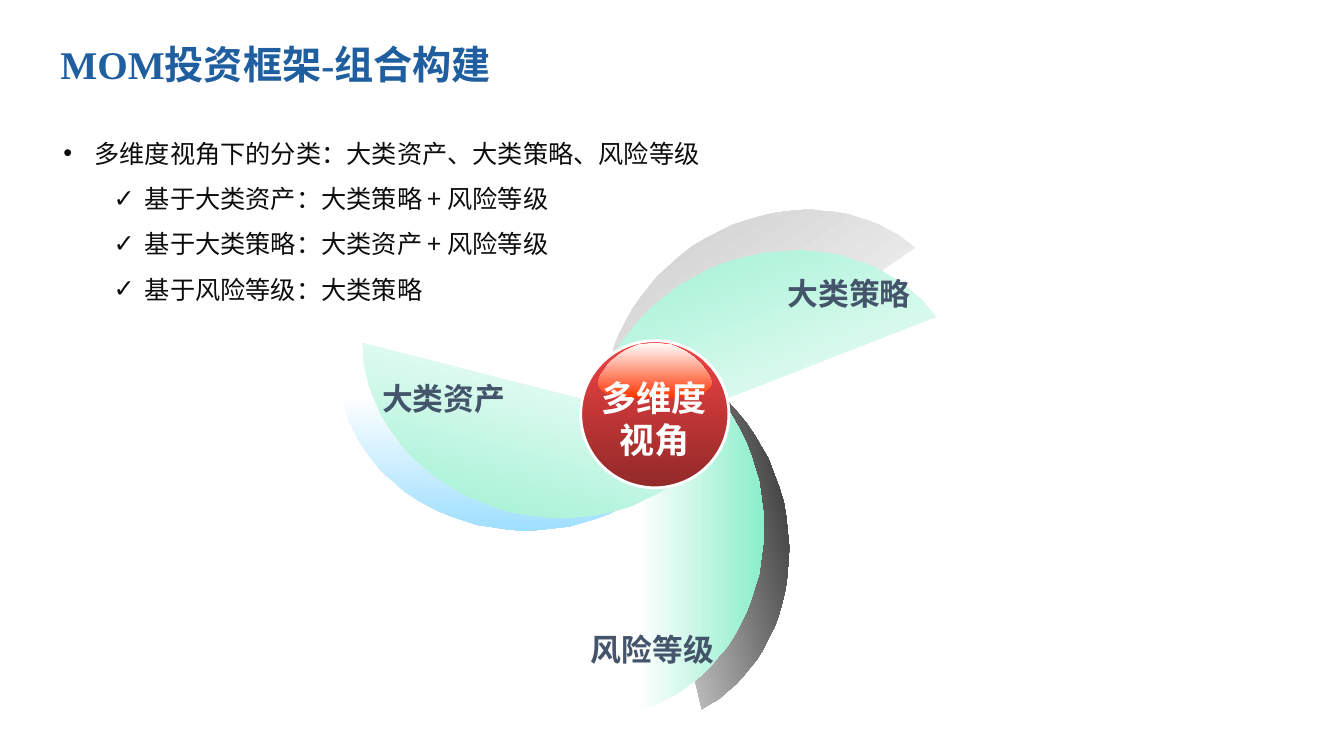
from lxml.etree import SubElement
from pptx import Presentation
from pptx.dml.color import RGBColor
from pptx.enum.shapes import MSO_SHAPE as Shape
from pptx.enum.text import MSO_ANCHOR as Anchor, MSO_AUTO_SIZE as AutoSize, PP_ALIGN as Align
from pptx.oxml.ns import qn
from pptx.util import Pt

PX = 9144  # EMU in one px, 100 px to the inch
WHITE = RGBColor(0xFF, 0xFF, 0xFF)
BLACK = RGBColor(0x00, 0x00, 0x00)
SKY = RGBColor(0x9B, 0xDE, 0xFF)
SILVER = RGBColor(0xC0, 0xC0, 0xC0)
MINT = RGBColor(0x8A, 0xEE, 0xCA)
RED = RGBColor(0xF1, 0x43, 0x43)
DARK_RED = RGBColor(0x92, 0x29, 0x29)
ORANGE = RGBColor(0xFF, 0x33, 0x00)
SLATE = RGBColor(0x44, 0x54, 0x6A)
BLUE = RGBColor(0x1F, 0x5F, 0xA0)
INK = RGBColor(0x0D, 0x0D, 0x0D)
SERIF = "Times New Roman"
SANS = "Noto Sans CJK SC"

# Upper half of a blade, from its corner to its widest point
BLADE_WIDTH, BLADE_HEIGHT = 126, 363
BLADE_HALF = [(0, 0), (9, 3), (19, 6), (28, 11), (38, 16), (47, 22), (56, 29),
              (65, 36), (73, 44), (81, 54), (89, 63), (96, 74), (102, 85),
              (108, 97), (113, 110), (117, 123), (121, 136), (123, 151),
              (125, 166), (126, 181)]
# Right half of the highlight, measured from its top centre
SHINE_HALF = [(0, 0), (8, 1), (16, 2), (23, 5), (29, 8), (35, 12), (41, 17),
              (46, 22), (50, 28), (54, 34), (56, 41), (54, 45), (50, 49),
              (44, 52), (35, 54), (25, 55), (14, 56)]
# Left, top, rotation and outer colour, from back to front
BLADES = [(653, 331, 346.8, BLACK), (457, 282, 91, SKY), (659, 115, 235.5, SILVER),
          (632, 342, 0, MINT), (457, 265, 104.3, MINT), (673, 140, 248.7, MINT)]
LABELS = [("大类资产", 367, 372), ("风险等级", 574, 621), ("大类策略", 769, 268)]
POINTS = ["多维度视角下的分类：大类资产、大类策略、风险等级",
          "基于大类资产：大类策略 + 风险等级",
          "基于大类策略：大类资产 + 风险等级",
          "基于风险等级：大类策略"]


def place(shape, left, top, width, height):
    shape.left, shape.top = left * PX, top * PX
    shape.width, shape.height = width * PX, height * PX


def write(para, text, size, color, font=SERIF, bold=True, align=None, spacing=None):
    para.alignment = align
    para.line_spacing = spacing
    span = para.add_run()
    span.text = text
    span.font.size = Pt(size)
    span.font.bold = bold
    span.font.color.rgb = color
    span.font.name = font
    SubElement(span.font._element, qn("a:ea"), typeface=SANS)


def add_text_box(page, left, top, width, height, wrap=False):
    box = page.shapes.add_textbox(*[n * PX for n in (left, top, width, height)])
    box.text_frame.word_wrap = wrap
    box.text_frame.auto_size = AutoSize.SHAPE_TO_FIT_TEXT
    return box.text_frame


def paint(shape, first, last, angle=0):
    shape.shadow.inherit = False
    shape.line.fill.background()
    shape.fill.gradient()
    shape.fill.gradient_angle = angle
    for stop, color in zip(shape.fill.gradient_stops, (first, last)):
        stop.color.rgb = color


def add_outline(page, points, left, top):
    builder = page.shapes.build_freeform(*points[0], scale=PX)
    builder.add_line_segments(points[1:], close=True)
    return builder.convert_to_shape(left * PX, top * PX)


def add_title(page, left, top, width, height):
    title = page.shapes.title
    place(title, left, top, width, height)
    title.text_frame.vertical_anchor = Anchor.MIDDLE
    write(title.text_frame.paragraphs[0], "MOM投资框架-组合构建", 28, BLUE,
          align=Align.LEFT, spacing=0.9)


def add_points(page, left, top, width, height):
    frame = add_text_box(page, left, top, width, height, wrap=True)
    for index, text in enumerate(POINTS):
        para = frame.add_paragraph() if index else frame.paragraphs[0]
        para.level = 1 if index else 0
        write(para, text, 18, INK, font=SANS, bold=False, spacing=1.5)
        props = para._p.get_or_add_pPr()
        props.set("marL", str((81 if index else 31) * PX))
        props.set("indent", str(-31 * PX))
        SubElement(props, qn("a:buFont"), typeface="Arial")
        SubElement(props, qn("a:buChar"), char="✓" if index else "•")


def add_blades(page):
    lower = [(x, BLADE_HEIGHT - y) for x, y in reversed(BLADE_HALF)]
    for left, top, rotation, color in BLADES:
        blade = add_outline(page, BLADE_HALF + lower, left, top)
        place(blade, left, top, BLADE_WIDTH, BLADE_HEIGHT)
        blade.rotation = rotation
        paint(blade, WHITE, color)


def add_hub(page, left, top, width, height):
    ball = page.shapes.add_shape(Shape.OVAL, 0, 0, PX, PX)
    place(ball, left, top, width, height)
    paint(ball, RED, DARK_RED, angle=270)
    ball.line.color.rgb = WHITE
    ball.line.width = Pt(2)
    # Highlight
    mirrored = [(-x, y) for x, y in reversed(SHINE_HALF[1:])]
    shine = add_outline(page, SHINE_HALF + mirrored, 0, 0)
    place(shine, left + 17, top + 2, 113, 55)
    paint(shine, WHITE, ORANGE, angle=270)
    # Caption
    frame = add_text_box(page, left + 10, top + 31, 126, 94)
    for para, text in zip((frame.paragraphs[0], frame.add_paragraph()), ("多维度", "视角")):
        write(para, text, 25, WHITE, font=SANS, align=Align.CENTER)


def add_labels(page):
    for text, left, top in LABELS:
        frame = add_text_box(page, left, top, 144, 47)
        write(frame.paragraphs[0], text, 22, SLATE, align=Align.RIGHT)


def main():
    deck = Presentation()
    deck.slide_width, deck.slide_height = 1333 * PX, 750 * PX
    page = deck.slides.add_slide(deck.slide_layouts[5])
    add_blades(page)
    add_hub(page, 576, 338, 147, 146)
    add_labels(page)
    add_title(page, 50, 19, 1235, 94)
    add_points(page, 53, 117, 1234, 192)
    deck.save("out.pptx")


if __name__ == "__main__":
    main()
